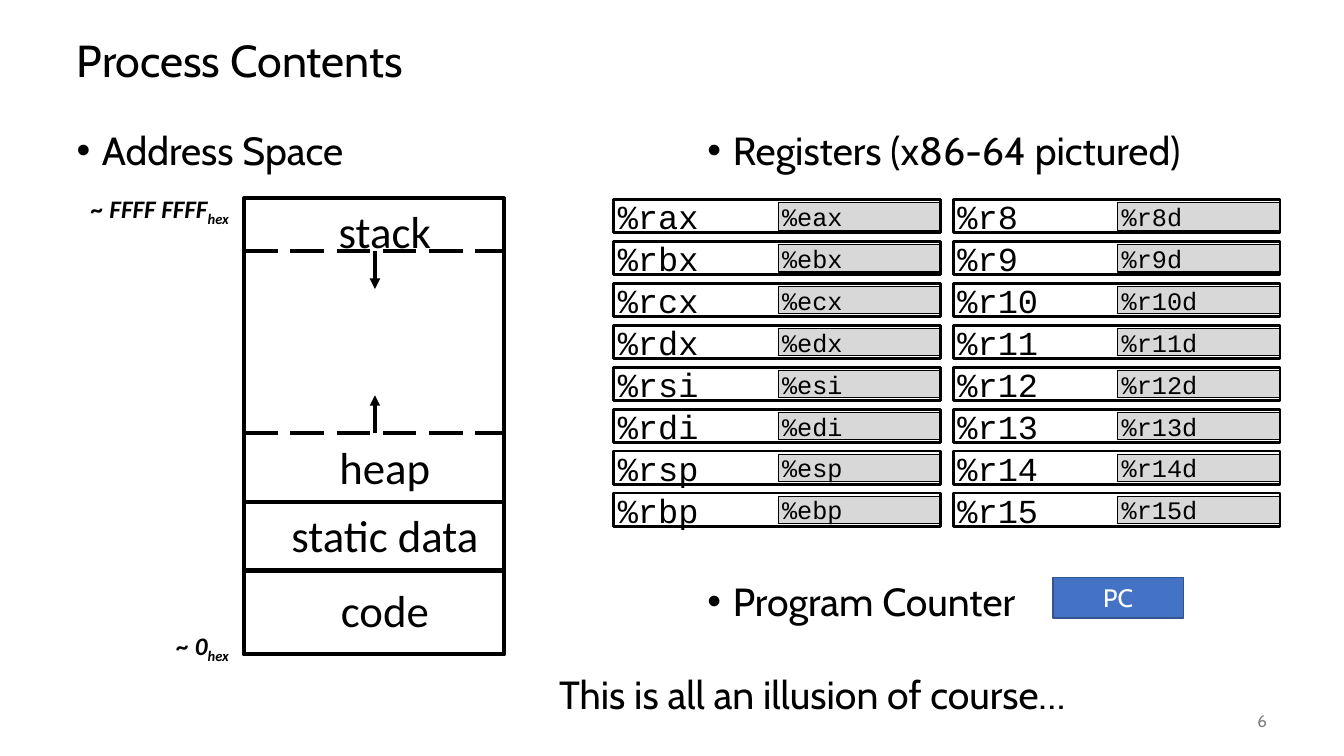
from lxml.etree import SubElement
from pptx import Presentation
from pptx.dml.color import RGBColor
from pptx.enum.dml import MSO_LINE
from pptx.enum.shapes import MSO_CONNECTOR, MSO_SHAPE
from pptx.enum.text import MSO_ANCHOR, PP_ALIGN
from pptx.oxml.ns import qn
from pptx.util import Cm, Pt


def tint(code):
    return RGBColor.from_string(code)


class Board:
    """Holds the style and the current slide; lengths are in centimetres."""
    sans, label, mono = "Cabin", "Calibri", "Courier New"
    ink, gray = "000000", "D8D8D8"

    def __init__(self, deck):
        self.slide = deck.slides.add_slide(deck.slide_layouts[5])
        self.shapes = self.slide.shapes

    def style(self, para, size, face=None, color=None, align=PP_ALIGN.LEFT):
        para.alignment = align
        font = para.font
        font.size, font.name = Pt(size), face or self.sans
        font.color.rgb = tint(color or self.ink)
        return font

    def title(self, text, x, y, w, h):
        head = self.shapes.title
        head.left, head.top, head.width, head.height = map(Cm, (x, y, w, h))
        frame = head.text_frame
        frame.text = text
        frame.vertical_anchor = MSO_ANCHOR.MIDDLE
        para = frame.paragraphs[0]
        para.line_spacing = 0.9
        self.style(para, 32)

    def text(self, text, x, y, w, h, size, **look):
        frame = self.shapes.add_textbox(Cm(x), Cm(y), Cm(w), Cm(h)).text_frame
        frame.word_wrap = True
        frame.text = text
        self.style(frame.paragraphs[0], size, **look)
        return frame

    def bullets(self, items, x, y, w, h, gap=0):
        frame = self.shapes.add_textbox(Cm(x), Cm(y), Cm(w), Cm(h)).text_frame
        frame.word_wrap = True
        for i, item in enumerate(items):
            para = frame.add_paragraph() if i else frame.paragraphs[0]
            para.text = item
            para.line_spacing = 0.9
            para.space_before = Pt(gap if i else 0)
            props = para._p.get_or_add_pPr()
            props.set("marL", str(Cm(0.64)))
            props.set("indent", str(-Cm(0.64)))
            SubElement(props, qn("a:buFont"), typeface="Arial")
            SubElement(props, qn("a:buChar"), char="•")
            self.style(para, 28)

    def address(self, text, x, y, w):
        frame = self.text(text, x, y, w, 0.91, 18, face=self.label,
                          align=PP_ALIGN.RIGHT)
        para = frame.paragraphs[0]
        para.font.bold = para.font.italic = True
        base = para.add_run()
        base.text = "hex"
        base._r.get_or_add_rPr().set("baseline", "-25000")

    def rect(self, x, y, w, h, line, fill=None, edge=None):
        box = self.shapes.add_shape(MSO_SHAPE.RECTANGLE, Cm(x), Cm(y), Cm(w), Cm(h))
        box.shadow.inherit = False
        if fill:
            box.fill.solid()
            box.fill.fore_color.rgb = tint(fill)
        else:
            box.fill.background()
        box.line.color.rgb = tint(edge or self.ink)
        box.line.width = Pt(line)
        return box

    def fill_in(self, box, text, size, inset=None, **look):
        frame = box.text_frame
        frame.text = text
        frame.vertical_anchor = MSO_ANCHOR.MIDDLE
        if inset:
            frame.margin_left = frame.margin_right = Cm(inset)
            frame.margin_top = frame.margin_bottom = Cm(inset)
        self.style(frame.paragraphs[0], size, **look)

    def line(self, x1, y1, x2, y2, width, dash=None, arrow=False):
        link = self.shapes.add_connector(
            MSO_CONNECTOR.STRAIGHT, Cm(x1), Cm(y1), Cm(x2), Cm(y2))
        link.line.color.rgb = tint(self.ink)
        link.line.width = Pt(width)
        if dash:
            link.line.dash_style = dash
        props = link._element.spPr
        if arrow:
            SubElement(props.find(qn("a:ln")), qn("a:tailEnd"), type="triangle")
        SubElement(props, qn("a:effectLst"))

    def register(self, name, low, x, y):
        look = {"inset": 0.1, "face": self.mono}
        half = self.rect(x + 4.14, y + 0.08, 4.09, 0.69, 0.75, self.gray)
        self.fill_in(half, low, 18, **look)
        whole = self.rect(x, y, 8.23, 0.84, 2)
        self.fill_in(whole, name, 24, **look)


def main():
    deck = Presentation()
    deck.slide_width, deck.slide_height = Cm(33.87), Cm(19.05)
    board = Board(deck)

    # Headings
    board.title("Process Contents", 1.68, 0.64, 30.48, 1.9)
    board.bullets(["Address Space"], 1.68, 3.18, 14.6, 13.97)
    board.bullets(["Registers (x86-64 pictured)", "Program Counter"],
                  17.58, 3.18, 14.6, 13.97, gap=292)

    # Address space
    left, wide, top, end = 6.15, 6.55, 5.0, 16.48
    stack, heap, data, code = 6.32, 10.92, 12.65, 14.38
    for start, stop in ((top, end), (data, code), (code, end)):
        board.rect(left, start, wide, stop - start, 3)
    for edge, tip in ((stack, 0.96), (heap, -0.96)):
        board.line(left, edge, left + wide, edge, 3, MSO_LINE.LONG_DASH)
        board.line(9.45, edge, 9.45, edge + tip, 2.5, arrow=True)
    for name, y, w in (("stack", top, 3.12), ("heap", 10.95, 3.12),
                       ("static data", 12.67, 5.5), ("code", 14.55, 3.12)):
        board.text(name, 9.7 - w / 2, y, w, 1.48, 32, face=board.label,
                   align=PP_ALIGN.CENTER)
    board.address("~ FFFF FFFF", 0.99, 4.75, 5.03)
    board.address("~ 0", 4.06, 15.75, 1.96)

    # Registers
    for i, key in enumerate("ax bx cx dx si di sp bp".split()):
        y = 5.03 + 1.056 * i
        board.register(f"%r{key}", f"%e{key}", 15.47, y)
        board.register(f"%r{i + 8}", f"%r{i + 8}d", 24.03, y)

    # Program counter and closing line
    count = board.rect(26.54, 14.55, 3.28, 1.02, 1, "4472C4", "325491")
    board.fill_in(count, "PC", 18, color="FFFFFF", align=PP_ALIGN.CENTER)
    board.text("This is all an illusion of course…", 13.84, 16.76, 17.04, 1.45, 28)
    page = board.text("6", 29.64, 17.65, 2.54, 1.02, 12, color="808080",
                      align=PP_ALIGN.RIGHT)
    page.vertical_anchor = MSO_ANCHOR.MIDDLE

    deck.save("out.pptx")


if __name__ == "__main__":
    main()
